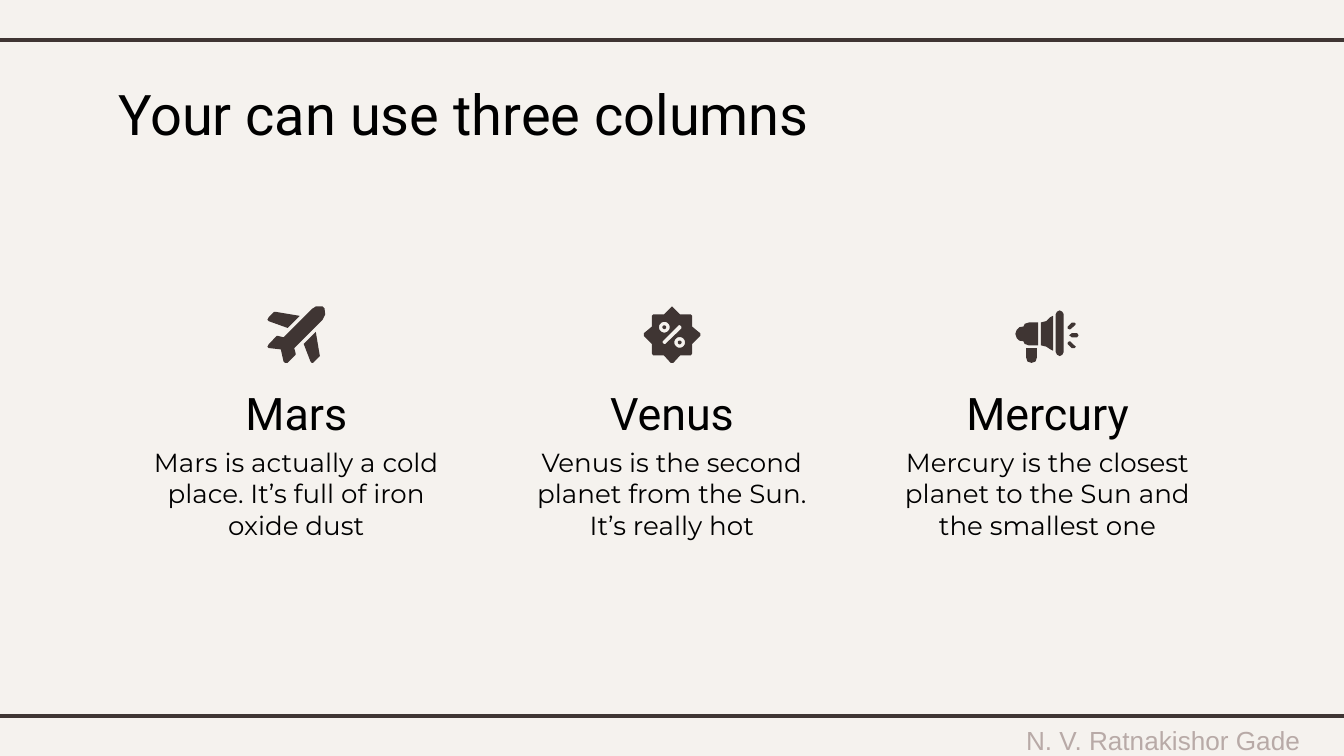
import math
from dataclasses import dataclass

import pptx
import pptx.dml.color
import pptx.enum.shapes
import pptx.enum.text
import pptx.oxml.ns
import pptx.util
from lxml import etree

Inches = pptx.util.Inches
Align = pptx.enum.text.PP_ALIGN
Anchor = pptx.enum.text.MSO_ANCHOR


@dataclass(frozen=True)
class Theme:
    """Colours, fonts and type sizes of the slide."""
    paper: str = "F5F2EE"
    ink: str = "3F3533"
    text: str = "000000"
    muted: str = "B8AAA7"
    heading_font: str = "Roboto"
    body_font: str = "Montserrat"
    footer_font: str = "Arial"
    title_size: int = 30
    heading_size: int = 24
    body_size: int = 14
    rule_width: float = 2.25


THEME = Theme()


def ring(x, y, radius):
    """Return the points of a circle."""
    turns = [math.tau * step / 24 for step in range(24)]
    return [(x + radius * math.cos(turn), y + radius * math.sin(turn)) for turn in turns]


PLANE = [
    [[(38, 0), (36, 0), (33, 2), (12, 23), (8, 22), (7, 22), (1, 28), (0, 30), (1, 31),
      (10, 32), (12, 41), (13, 42), (15, 42), (21, 36), (21, 35), (20, 31), (41, 10),
      (43, 6), (42.5, 1.5), (41, 0)]],
    [[(6, 4), (5, 4), (1, 8), (0, 10), (1, 11), (15, 16), (24, 7)]],
    [[(36, 19), (27, 28), (32, 41), (33, 42), (34, 42), (38, 38), (39, 37)]],
]
BADGE = [
    [[(21, 0), (20, 1), (15, 6), (7, 6), (6, 7), (6, 15), (0, 20), (0, 22), (6, 28),
      (6, 35), (7, 36.5), (15, 36.5), (20, 42), (22, 42), (27, 36.5), (35, 36.5),
      (36, 35), (36, 28), (42, 22), (42, 20), (36, 15), (36, 7), (35, 6), (27, 6),
      (22, 1)],
     ring(15.3, 15.5, 4), ring(26.7, 26.8, 4),
     [(26, 14), (27, 14), (28, 15), (28, 16.5), (16, 28), (15, 28), (14, 27),
      (14, 26), (25, 15)]],
    [ring(15.3, 15.5, 1.4)],
    [ring(26.7, 26.8, 1.4)],
]
MEGAPHONE = [
    [[(10, 12), (17, 12), (17, 29), (10, 29), (7, 28), (6, 26), (3, 25.5), (1, 23.5),
      (0, 20.5), (1, 17.5), (3, 15.5), (6, 15), (7, 13)]],
    [[(33, 3), (31, 4), (30, 6), (30, 34), (31, 36), (33, 37), (35, 36), (36, 34),
      (36, 6), (35, 4)]],
    [[(8, 31), (16, 31), (16, 38), (15, 41), (12, 42), (9, 41), (8, 38)]],
    [[(28, 7), (26, 8), (23, 11), (19, 12), (19, 29), (23, 30), (26, 32), (28, 33)]],
    [[(42, 20), (46, 20), (47, 21.5), (46, 23), (42, 23), (40, 21.5)]],
    [[(40, 26), (39, 27), (39, 28), (42, 31), (44, 31), (45, 30), (44, 29), (41, 26)]],
    [[(43, 12), (42, 12), (39, 15), (39, 16.5), (40, 17), (41, 17), (44.5, 14),
      (45, 13), (44, 12)]],
]
PLANETS = [
    ("Mars", "Mars is actually a cold place. It’s full of iron oxide dust", PLANE, 0.43),
    ("Venus", "Venus is the second planet from the Sun. It’s really hot", BADGE, 0.42),
    ("Mercury", "Mercury is the closest planet to the Sun and the smallest one",
     MEGAPHONE, 0.48),
]


def rgb(value):
    """Return a colour from its hex value."""
    return pptx.dml.color.RGBColor.from_string(value)


def assign(target, values):
    """Set each attribute of the target from a dict."""
    for name, value in values.items():
        setattr(target, name, value)


def write(shape, box, text, font, size, color, align=Align.CENTER, anchor=Anchor.TOP):
    """Place a text shape in its box and format its text."""
    assign(shape, dict(zip(("left", "top", "width", "height"), map(Inches, box))))
    frame = shape.text_frame
    inset = Inches(0.1)
    assign(frame, {
        "text": text, "word_wrap": True, "vertical_anchor": anchor,
        "auto_size": pptx.enum.text.MSO_AUTO_SIZE.NONE,
        "margin_left": inset, "margin_right": inset,
        "margin_top": inset if anchor == Anchor.TOP else 0,
        "margin_bottom": inset if anchor == Anchor.TOP else 0,
    })
    paragraph = frame.paragraphs[0]
    paragraph.alignment = align
    assign(paragraph.runs[0].font, {"name": font, "size": pptx.util.Pt(size)})
    paragraph.runs[0].font.color.rgb = rgb(color)


def add_text(slide, box, *style, **options):
    """Add a text box in the given box."""
    write(slide.shapes.add_textbox(0, 0, 0, 0), box, *style, **options)


def add_rule(slide, left, top, width):
    """Draw a horizontal rule across the page."""
    rule = slide.shapes.add_connector(
        pptx.enum.shapes.MSO_CONNECTOR.STRAIGHT,
        Inches(left), Inches(top), Inches(left + width), Inches(top))
    rule.line.color.rgb = rgb(THEME.ink)
    rule.line.width = pptx.util.Pt(THEME.rule_width)
    properties = rule.element.find(pptx.oxml.ns.qn("p:spPr"))
    etree.SubElement(properties, pptx.oxml.ns.qn("a:effectLst"))


def add_icon(slide, left, top, parts):
    """Draw an icon whose outlines are in hundredths of an inch."""
    for outlines in parts:
        contours = [[(x * 10, y * 10) for x, y in outline] for outline in outlines]
        builder = slide.shapes.build_freeform(*contours[0][0], scale=914.4)
        builder.add_line_segments(contours[0][1:], close=True)
        for contour in contours[1:]:
            builder.move_to(*contour[0])
            builder.add_line_segments(contour[1:], close=True)
        piece = builder.convert_to_shape(Inches(left), Inches(top))
        piece.shadow.inherit = False
        piece.fill.solid()
        piece.fill.fore_color.rgb = rgb(THEME.ink)
        piece.line.fill.background()


def add_planet(slide, left, top, width, planet):
    """Build one column with icon, heading and description."""
    heading, description, icon, icon_width = planet
    add_icon(slide, left + (width - icon_width) / 2, top, icon)
    add_text(slide, (left, top + 0.49, width, 0.49), heading,
             THEME.heading_font, THEME.heading_size, THEME.text)
    add_text(slide, (left, top + 0.94, width, 0.89), description,
             THEME.body_font, THEME.body_size, THEME.text)


def add_frame(slide, left, width):
    """Draw the background, both rules and the footer."""
    slide.background.fill.solid()
    slide.background.fill.fore_color.rgb = rgb(THEME.paper)
    for top in (0.3, 5.33):
        add_rule(slide, left - 0.08, top, width + 0.16)
    add_text(slide, (left + width - 2.69, 5.41, 2.69, 0.19), "N. V. Ratnakishor Gade",
             THEME.footer_font, THEME.body_size, THEME.muted, anchor=Anchor.MIDDLE)


def main():
    """Build and save the slide."""
    deck = pptx.Presentation()
    assign(deck, {"slide_width": Inches(10), "slide_height": Inches(10) * 9 // 16})
    slide = deck.slides.add_slide(deck.slide_layouts[5])
    add_frame(slide, 0, 10)
    write(slide.shapes.title, (0.78, 0.49, 7.28, 0.63), "Your can use three columns",
          THEME.heading_font, THEME.title_size, THEME.text, align=Align.LEFT)
    first, last = 1.04, 6.63
    pitch = (last - first) / (len(PLANETS) - 1)
    for column, planet in enumerate(PLANETS):
        add_planet(slide, first + pitch * column, 2.28, 2.33, planet)
    deck.save("out.pptx")


if __name__ == "__main__":
    main()
